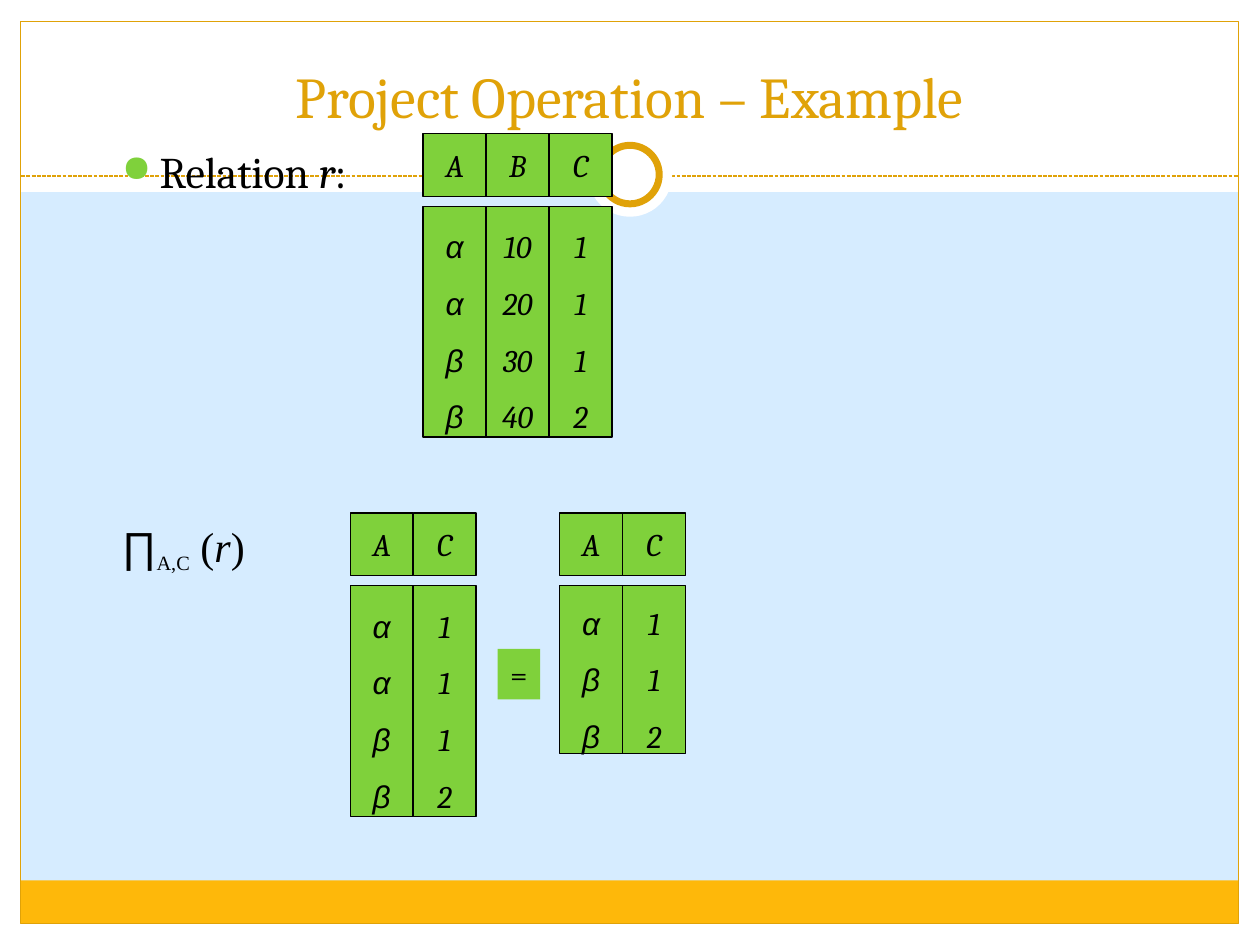
from dataclasses import dataclass

from lxml.etree import SubElement
from pptx import Presentation
from pptx.dml.color import RGBColor
from pptx.enum.dml import MSO_LINE
from pptx.enum.shapes import MSO_CONNECTOR, MSO_SHAPE
from pptx.enum.text import MSO_ANCHOR, PP_ALIGN
from pptx.oxml.ns import qn
from pptx.util import Cm, Pt

COLORS = {
    "background": "D6ECFF",
    "white": "FFFFFF",
    "black": "000000",
    "gold": "E0A208",
    "amber": "FEB80A",
    "green": "7FD13B",
}
SERIF = "Cambria"
GREEK = "Arial"
CELL = 1.27
BODY_OFFSET = 1.47


@dataclass
class Box:
    left: float
    top: float
    width: float
    height: float

    def lengths(self):
        return Cm(self.left), Cm(self.top), Cm(self.width), Cm(self.height)


@dataclass
class Panel:
    box: Box
    fill: str | None = None
    line: str | None = None
    line_width: float = 0.75
    kind: MSO_SHAPE = MSO_SHAPE.RECTANGLE


@dataclass
class Relation:
    left: float
    top: float
    body_height: float
    columns: dict[str, list[str]]


FRAME = [
    Panel(Box(0, 18.62, 25.4, 0.43), "white"),
    Panel(Box(0, 0, 25.4, 3.87), "white"),
    Panel(Box(0, 0, 0.43, 19.05), "white"),
    Panel(Box(24.97, 0, 0.43, 19.05), "white"),
    Panel(Box(0.42, 17.75, 24.54, 0.87), "amber"),
    Panel(Box(0.42, 0.43, 24.55, 18.19), line="gold"),
]
RINGS = [
    Panel(Box(11.85, 2.67, 1.7, 1.7), "white", kind=MSO_SHAPE.OVAL),
    Panel(Box(12.11, 2.93, 1.18, 1.18), "white", "gold", 4, MSO_SHAPE.OVAL),
]
RELATIONS = [
    Relation(8.53, 2.69, 4.65, {
        "A": ["α", "α", "β", "β"],
        "B": ["10", "20", "30", "40"],
        "C": ["1", "1", "1", "2"],
    }),
    Relation(7.06, 10.34, 4.65, {"A": ["α", "α", "β", "β"], "C": ["1", "1", "1", "2"]}),
    Relation(11.28, 10.34, 3.38, {"A": ["α", "β", "β"], "C": ["1", "1", "2"]}),
]


def color(name: str) -> RGBColor:
    return RGBColor.from_string(COLORS[name])


def style_font(font, name: str, size: float, color_name="black", italic=None):
    font.name = name
    font.size = Pt(size)
    font.color.rgb = color(color_name)
    font.italic = italic


def add_panel(slide, panel: Panel):
    shape = slide.shapes.add_shape(panel.kind, *panel.box.lengths())
    shape.shadow.inherit = False
    if panel.fill:
        shape.fill.solid()
        shape.fill.fore_color.rgb = color(panel.fill)
    else:
        shape.fill.background()
    if panel.line:
        shape.line.color.rgb = color(panel.line)
        shape.line.width = Pt(panel.line_width)
    else:
        shape.line.fill.background()
    return shape


def add_cell(slide, box: Box, lines: list[str], line="black", italic=True, spacing=None):
    """Draw a green box with one centred paragraph per line."""
    frame = add_panel(slide, Panel(box, "green", line)).text_frame
    frame.word_wrap = False
    frame.vertical_anchor = MSO_ANCHOR.MIDDLE
    for index, text in enumerate(lines):
        paragraph = frame.add_paragraph() if index else frame.paragraphs[0]
        paragraph.text = text
        paragraph.alignment = PP_ALIGN.CENTER
        paragraph.line_spacing = spacing
        style_font(paragraph.font, GREEK if text in "αβ" else SERIF, 18, italic=italic)


def add_relation(slide, relation: Relation):
    """Draw the header cells and, below a gap, one tall box per column."""
    for index, (name, values) in enumerate(relation.columns.items()):
        left = relation.left + index * CELL
        add_cell(slide, Box(left, relation.top, CELL, CELL), [name])
        body = Box(left, relation.top + BODY_OFFSET, CELL, relation.body_height)
        add_cell(slide, body, values, spacing=1.5)


def add_divider(slide):
    line = slide.shapes.add_connector(
        MSO_CONNECTOR.STRAIGHT, Cm(0.43), Cm(3.55), Cm(24.97), Cm(3.55))
    line.line.color.rgb = color("gold")
    line.line.width = Pt(0.75)
    line.line.dash_style = MSO_LINE.SQUARE_DOT
    SubElement(line._element.spPr, qn("a:effectLst"))


def add_text_frame(slide, box: Box):
    frame = slide.shapes.add_textbox(*box.lengths()).text_frame
    frame.word_wrap = True
    return frame


def add_run(paragraph, text: str, italic=None):
    run = paragraph.add_run()
    run.text = text
    run.font.italic = italic
    return run


def add_bullet(paragraph):
    properties = paragraph._p.get_or_add_pPr()
    properties.set("marL", str(Cm(0.76)))
    properties.set("indent", str(-Cm(0.76)))
    bullet_color = SubElement(properties, qn("a:buClr"))
    SubElement(bullet_color, qn("a:srgbClr"), val=COLORS["green"])
    SubElement(properties, qn("a:buSzPct"), val="85000")
    SubElement(properties, qn("a:buChar"), char="●")


def add_title(slide):
    frame = add_text_frame(slide, Box(0.84, 0.64, 23.7, 2.11))
    frame.vertical_anchor = MSO_ANCHOR.BOTTOM
    paragraph = frame.paragraphs[0]
    paragraph.text = "Project Operation – Example"
    paragraph.alignment = PP_ALIGN.CENTER
    style_font(paragraph.font, SERIF, 33, "gold")


def add_relation_label(slide):
    paragraph = add_text_frame(slide, Box(2.21, 3, 19.05, 1.14)).paragraphs[0]
    paragraph.line_spacing = 0.8
    add_bullet(paragraph)
    style_font(paragraph.font, SERIF, 25)
    add_run(paragraph, "Relation")
    add_run(paragraph, " r", italic=True)
    add_run(paragraph, ":")


def add_projection_label(slide):
    paragraph = add_text_frame(slide, Box(2.21, 10.36, 19.53, 1.14)).paragraphs[0]
    style_font(paragraph.font, "Times New Roman", 24)
    add_run(paragraph, "∏").font.name = GREEK
    subscript = add_run(paragraph, "A,C")
    subscript.font.size = Pt(20)
    subscript._r.get_or_add_rPr().set("baseline", "-25000")
    add_run(paragraph, " (")
    add_run(paragraph, "r", italic=True)
    add_run(paragraph, ")")


def main():
    presentation = Presentation()
    presentation.slide_width, presentation.slide_height = Cm(25.4), Cm(19.05)
    slide = presentation.slides.add_slide(presentation.slide_layouts[6])
    slide.background.fill.solid()
    slide.background.fill.fore_color.rgb = color("background")
    for panel in FRAME:
        add_panel(slide, panel)
    add_divider(slide)
    for ring in RINGS:
        add_panel(slide, ring)
    add_title(slide)
    add_relation_label(slide)
    for relation in RELATIONS:
        add_relation(slide, relation)
    add_cell(slide, Box(10.03, 13.08, 0.86, 1.02), ["="], line=None, italic=None)
    add_projection_label(slide)
    presentation.save("out.pptx")


if __name__ == "__main__":
    main()
